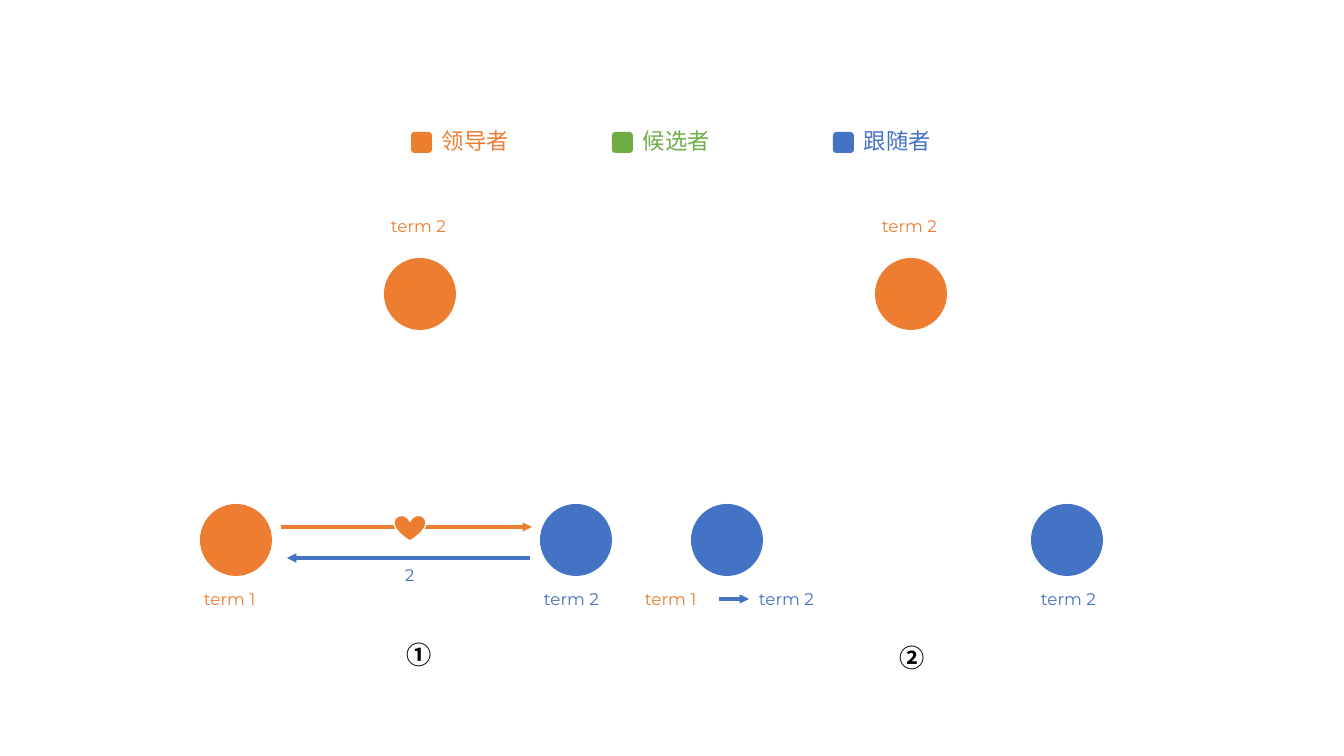
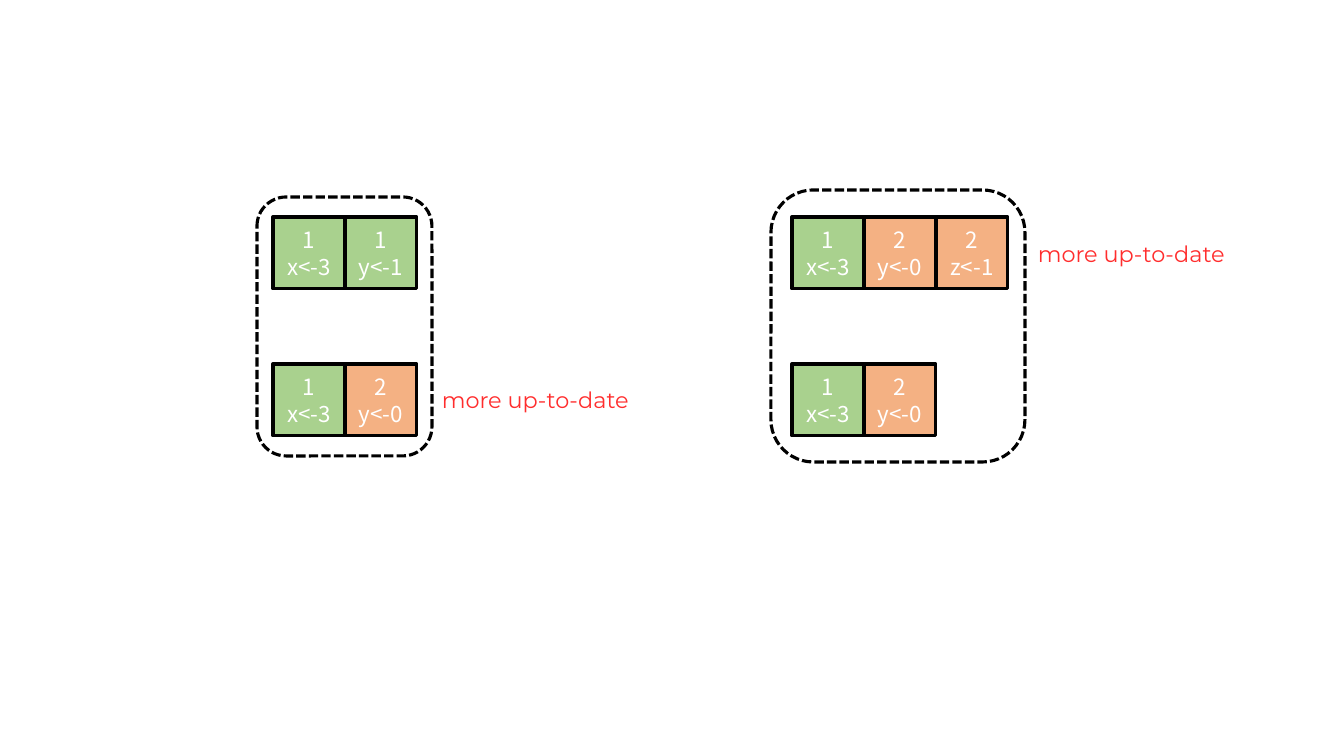
from lxml.etree import SubElement
from pptx import Presentation
from pptx.dml.color import RGBColor
from pptx.enum.dml import MSO_LINE
from pptx.enum.shapes import MSO_CONNECTOR, MSO_SHAPE
from pptx.enum.text import MSO_ANCHOR, PP_ALIGN
from pptx.oxml.ns import qn
from pptx.util import Pt

SCALE = 914400 / 100.8
ORANGE, GREEN, BLUE = "ED7D31", "70AD47", "4472C4"
PALE_ORANGE, PALE_GREEN = "F4B183", "A9D18E"
BLACK, WHITE, RED = "000000", "FFFFFF", "FF2D2D"
LATIN, CHINESE = "Montserrat", "Noto Sans CJK SC"
TERM_FILLS = {1: PALE_GREEN, 2: PALE_ORANGE}


def px(*lengths):
    return [round(length * SCALE) for length in lengths]


def rgb(code):
    return RGBColor.from_string(code)


def write(frame, text, *, size=12, color=BLACK, font=LATIN, bold=False,
          align=PP_ALIGN.LEFT, anchor=MSO_ANCHOR.TOP, spacing=None):
    frame.word_wrap = True
    frame.vertical_anchor = anchor
    for index, line in enumerate(text.split("\n")):
        paragraph = frame.add_paragraph() if index else frame.paragraphs[0]
        paragraph.alignment = align
        paragraph.line_spacing = spacing
        run = paragraph.add_run()
        run.text = line
        run.font.size = Pt(size)
        run.font.bold = bold
        run.font.name = font
        run.font.color.rgb = rgb(color)
        SubElement(run.font._element, qn("a:ea")).set("typeface", font)


class Deck:
    line_width = Pt(2.25)

    def __init__(self):
        self.presentation = Presentation()
        self.presentation.slide_width, self.presentation.slide_height = px(1344, 756)
        self.slide = None

    def new_slide(self):
        self.slide = self.presentation.slides.add_slide(self.presentation.slide_layouts[6])

    def shape(self, preset, x, y, width, height, *, fill=None, line=None, weight=line_width):
        shape = self.slide.shapes.add_shape(preset, *px(x, y, width, height))
        shape.shadow.inherit = False
        if fill:
            shape.fill.solid()
            shape.fill.fore_color.rgb = rgb(fill)
        else:
            shape.fill.background()
        if line:
            shape.line.color.rgb = rgb(line)
            shape.line.width = weight
        else:
            shape.line.fill.background()
        return shape

    def text(self, text, x, y, width, height, **style):
        box = self.slide.shapes.add_textbox(*px(x, y, width, height))
        write(box.text_frame, text, **style)

    def arrow(self, start, end, y, color):
        arrow = self.slide.shapes.add_connector(MSO_CONNECTOR.STRAIGHT, *px(start, y, end, y))
        arrow.line.color.rgb = rgb(color)
        arrow.line.width = self.line_width
        SubElement(arrow.line._get_or_add_ln(), qn("a:tailEnd")).set("type", "triangle")
        SubElement(arrow._element.spPr, qn("a:effectLst"))

    def legend(self, role, x, color):
        self.shape(MSO_SHAPE.ROUNDED_RECTANGLE, x, 132, 21, 21, fill=color)
        self.text(role, x + 21, 122, 101, 37, size=16, font=CHINESE, color=color)

    def node(self, x, y, color):
        self.shape(MSO_SHAPE.OVAL, x, y, 72, 72, fill=color)

    def term(self, number, x, y, color):
        self.text(f"term {number}", x, y, 84, 30, color=color)

    def log(self, x, y, entries):
        for index, (term, command) in enumerate(entries):
            cell = self.shape(MSO_SHAPE.RECTANGLE, x + 72 * index, y, 72, 72,
                              fill=TERM_FILLS[term], line=BLACK)
            write(cell.text_frame, f"{term}\n{command}", size=16, color=WHITE, font=CHINESE,
                  align=PP_ALIGN.CENTER, anchor=MSO_ANCHOR.MIDDLE)

    def group_frame(self, x, y, width, height):
        frame = self.shape(MSO_SHAPE.ROUNDED_RECTANGLE, x, y, width, height, line=BLACK)
        frame.line.dash_style = MSO_LINE.SQUARE_DOT

    def verdict(self, x, y):
        self.text("more up-to-date", x, y, 218, 37, size=16, color=RED)


deck = Deck()

deck.new_slide()
for role, x, color in (("领导者", 411, ORANGE), ("候选者", 612, GREEN), ("跟随者", 833, BLUE)):
    deck.legend(role, x, color)

for step_x, old_leader_color in ((200, ORANGE), (691, BLUE)):
    deck.node(step_x, 504, old_leader_color)
    deck.node(step_x + 340, 504, BLUE)
    deck.node(step_x + 184, 258, ORANGE)
    deck.term(2, step_x + 181, 211, ORANGE)

for number, x, color in ((1, 194, ORANGE), (2, 534, BLUE), (1, 635, ORANGE),
                         (2, 749, BLUE), (2, 1031, BLUE)):
    deck.term(number, x, 584, color)

deck.arrow(281, 532, 527, ORANGE)
deck.shape(MSO_SHAPE.HEART, 394, 515, 32, 26, fill=ORANGE, line=WHITE, weight=Pt(1))
deck.arrow(530, 287, 558, BLUE)
deck.text("2", 395, 560, 33, 31, color=BLUE)
deck.arrow(719, 749, 599, BLUE)

for step, x, y in (("①", 397, 634), ("②", 890, 637)):
    deck.text(step, x, y, 49, 40, size=18, font=CHINESE, bold=True)

deck.new_slide()
UPPER, LOWER = 217, 364
deck.log(273, UPPER, [(1, "x<-3"), (1, "y<-1")])
deck.log(273, LOWER, [(1, "x<-3"), (2, "y<-0")])
deck.log(792, UPPER, [(1, "x<-3"), (2, "y<-0"), (2, "z<-1")])
deck.log(792, LOWER, [(1, "x<-3"), (2, "y<-0")])
deck.verdict(432, 381)
deck.verdict(1028, 235)
deck.group_frame(257, 197, 175, 259)
deck.group_frame(771, 190, 254, 272)

deck.presentation.save("out.pptx")
